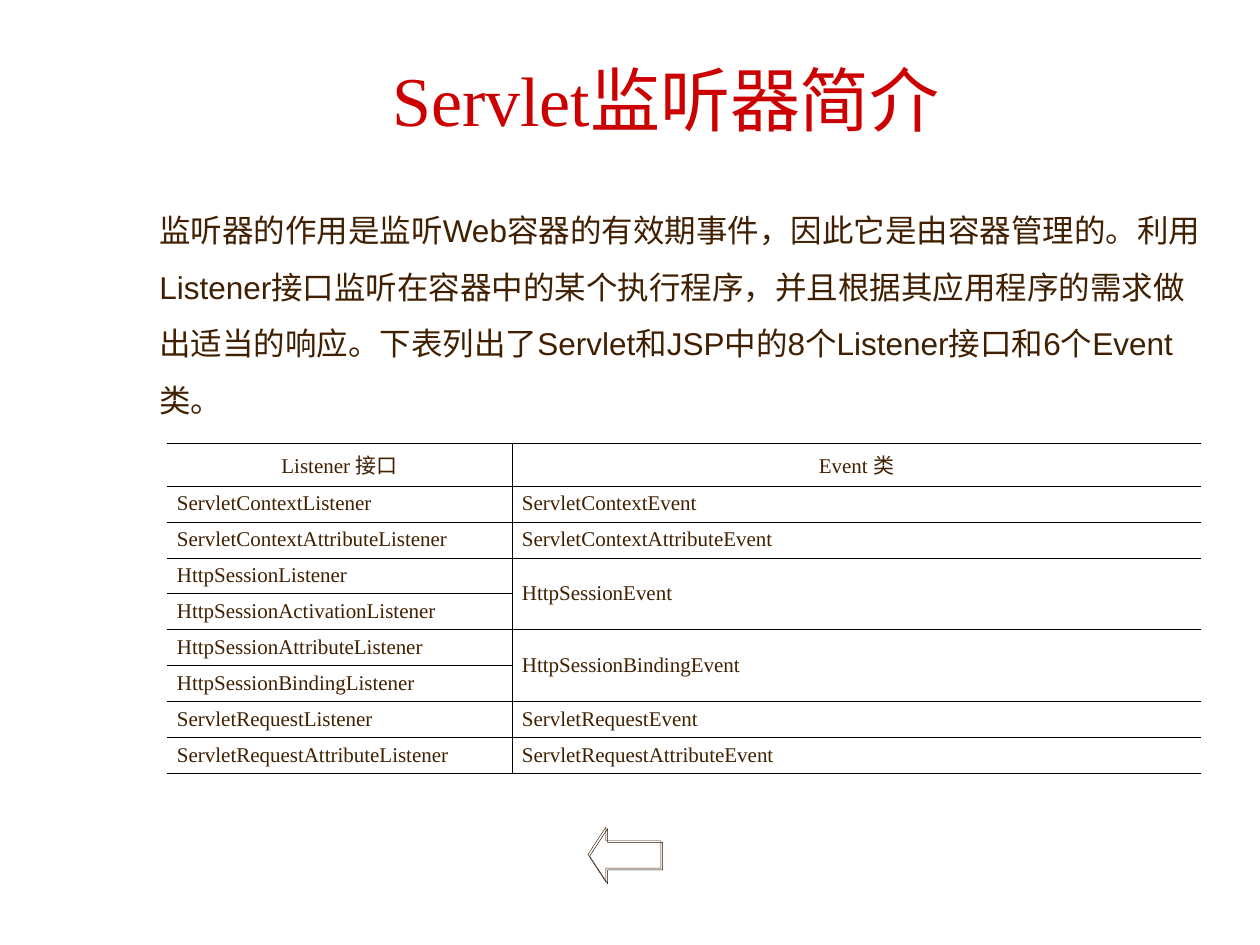
from dataclasses import dataclass

from lxml import etree
from pptx import Presentation, util as u
from pptx.dml.color import RGBColor
from pptx.enum import shapes, text
from pptx.oxml import parse_xml
from pptx.oxml.ns import nsdecls


@dataclass(frozen=True)
class Theme:
    heading: str = "CC0000"
    ink: str = "402000"
    shade: str = "261300"
    rule: str = "000000"
    serif: str = "Times New Roman"
    sans: str = "Arial"
    title_size: int = 40
    body_size: int = 18
    table_size: int = 12


theme = Theme()
EMU_PER_PX = 914400 / 126


def px(count):
    return u.Emu(round(count * EMU_PER_PX))


def write(frame, words, face, size, color, align, **frame_format):
    """Fill a text frame with one formatted paragraph."""
    for name, value in frame_format.items():
        setattr(frame, name, value)
    para = frame.paragraphs[0]
    para.alignment = align
    span = para.add_run()
    span.text = words
    for name, value in {"name": face, "size": u.Pt(size), "bold": False}.items():
        setattr(span.font, name, value)
    span.font.color.rgb = RGBColor.from_string(color)
    return para


deck = Presentation()
deck.slide_width, deck.slide_height = px(1260), px(945)
page = deck.slides.add_slide(deck.slide_layouts.get_by_name("Title Only"))

# Introduction
intro = page.shapes.add_textbox(px(147), px(186), px(1067), px(239))
intro_para = write(
    intro.text_frame,
    "监听器的作用是监听Web容器的有效期事件，因此它是由容器管理的。"
    "利用Listener接口监听在容器中的某个执行程序，并且根据其应用程序的需求做出适当的响应。"
    "下表列出了Servlet和JSP中的8个Listener接口和6个Event类。",
    theme.sans, theme.body_size, theme.ink, text.PP_ALIGN.LEFT,
    word_wrap=True, auto_size=text.MSO_AUTO_SIZE.SHAPE_TO_FIT_TEXT,
)
intro_para.line_spacing = 1.5

# Back arrow
arrow = page.shapes.add_shape(
    shapes.MSO_SHAPE.LEFT_ARROW, px(588), px(827), px(73), px(55))
arrow.adjustments[1] = 0.328
arrow.fill.background()
arrow.line.color.rgb = RGBColor.from_string(theme.ink)
arrow.line.width = u.Pt(0.25)
arrow.shadow.inherit = False
effects = arrow.element.spPr.find("{*}effectLst")
effects.append(parse_xml(
    f'<a:outerShdw {nsdecls("a")} dist="{u.Pt(1.4)}" dir="2700000" algn="ctr">'
    f'<a:srgbClr val="{theme.shade}"/></a:outerShdw>'))

# Title
title = page.shapes.title
for name, value in {"left": 129, "top": 29, "width": 1074, "height": 140}.items():
    setattr(title, name, px(value))
write(title.text_frame, "Servlet监听器简介", theme.serif, theme.title_size,
      theme.heading, text.PP_ALIGN.CENTER,
      vertical_anchor=text.MSO_ANCHOR.MIDDLE, auto_size=text.MSO_AUTO_SIZE.NONE)

# Listener table: an empty event continues the cell above it
listener_events = [
    ("Listener 接口", "Event 类"),
    ("ServletContextListener", "ServletContextEvent"),
    ("ServletContextAttributeListener", "ServletContextAttributeEvent"),
    ("HttpSessionListener", "HttpSessionEvent"),
    ("HttpSessionActivationListener", ""),
    ("HttpSessionAttributeListener", "HttpSessionBindingEvent"),
    ("HttpSessionBindingListener", ""),
    ("ServletRequestListener", "ServletRequestEvent"),
    ("ServletRequestAttributeListener", "ServletRequestAttributeEvent"),
]
HEADER_HEIGHT, ROW_HEIGHT = 43, 36
column_widths = (345, 689)
row_count = len(listener_events)
table = page.shapes.add_table(
    row_count, len(column_widths), px(167), px(443), px(sum(column_widths)),
    px(HEADER_HEIGHT + ROW_HEIGHT * (row_count - 1))).table
table.first_row = table.horz_banding = False
for column, width in zip(table.columns, column_widths):
    column.width = px(width)

cell_format = {
    "margin_left": px(10), "margin_right": px(10),
    "margin_top": px(5), "margin_bottom": px(5),
    "vertical_anchor": text.MSO_ANCHOR.MIDDLE,
}
open_sides = ("lnL", "lnR")
for row_index, row_words in enumerate(listener_events):
    table.rows[row_index].height = px(ROW_HEIGHT if row_index else HEADER_HEIGHT)
    align = text.PP_ALIGN.JUSTIFY if row_index else text.PP_ALIGN.CENTER
    for column_index, words in enumerate(row_words):
        cell = table.cell(row_index, column_index)
        for name, value in cell_format.items():
            setattr(cell, name, value)
        cell_props = cell._tc.get_or_add_tcPr()
        for side in ("lnL", "lnR", "lnT", "lnB"):
            border = etree.SubElement(cell_props, f"{{{cell_props.nsmap['a']}}}{side}")
            if side == open_sides[column_index]:
                border.append(parse_xml(f'<a:noFill {nsdecls("a")}/>'))
            else:
                border.set("w", str(u.Pt(0.45)))
                border.append(parse_xml(
                    f'<a:solidFill {nsdecls("a")}><a:srgbClr val="{theme.rule}"/></a:solidFill>'))
        cell.fill.background()
        if words:
            write(cell.text_frame, words, theme.serif, theme.table_size, theme.ink, align)
        else:
            table.cell(row_index - 1, column_index).merge(cell)

deck.save("out.pptx")
